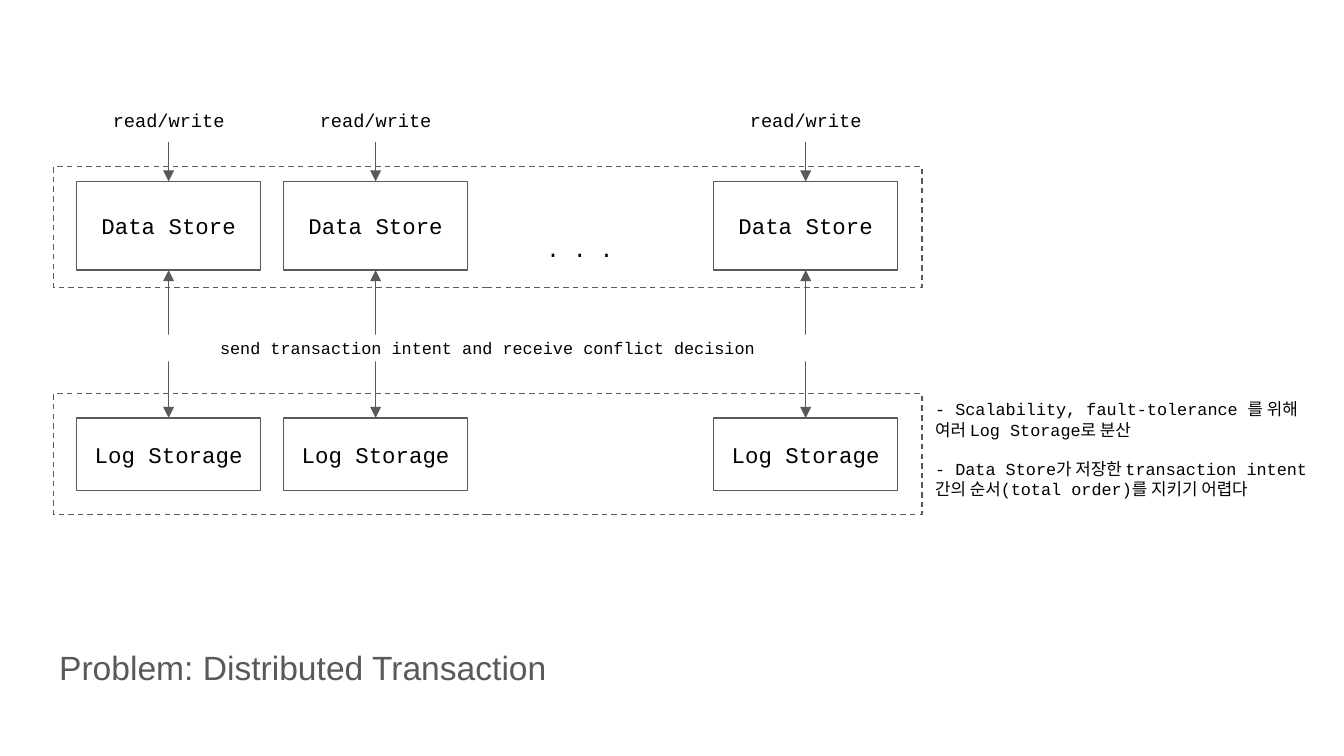
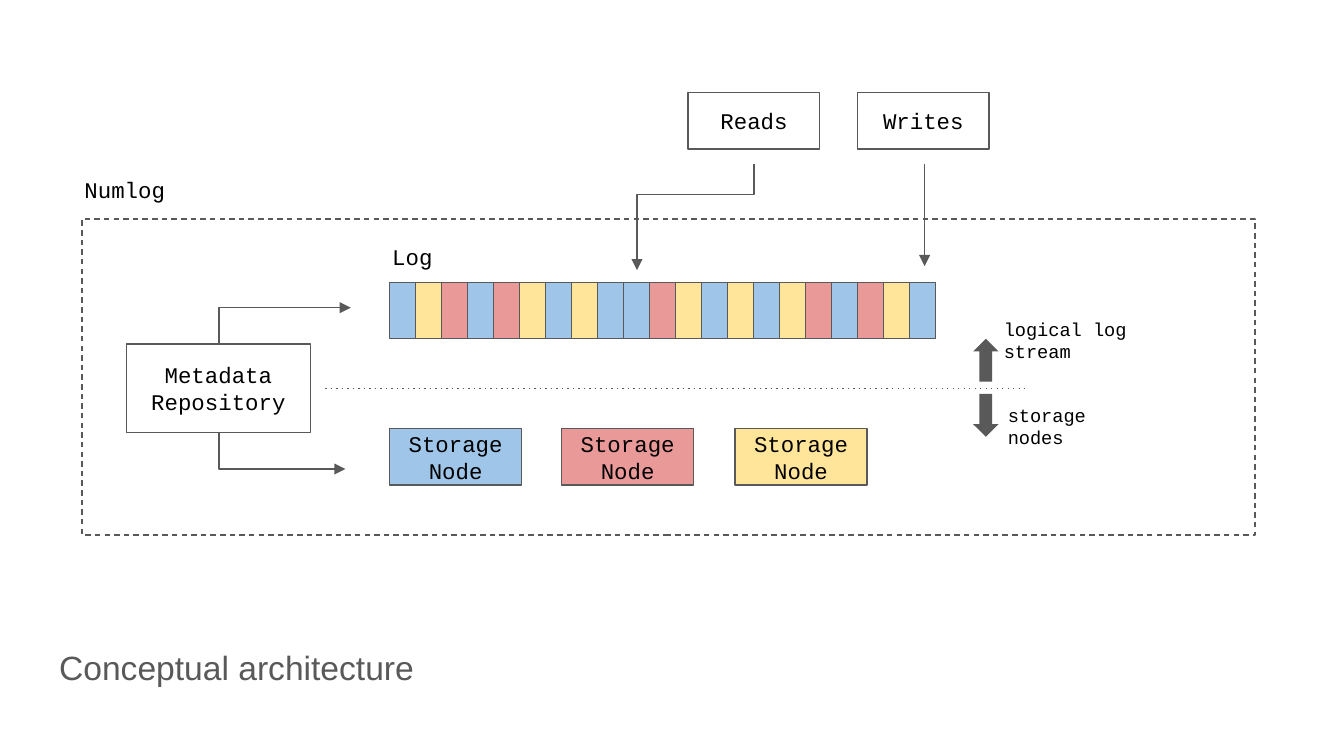
from pptx import Presentation
from pptx.util import Inches, Pt
from pptx.dml.color import RGBColor
from pptx.enum.shapes import MSO_CONNECTOR, MSO_SHAPE
from pptx.enum.text import MSO_ANCHOR, MSO_AUTO_SIZE, PP_ALIGN
from pptx.oxml.ns import qn
from lxml.etree import SubElement

THEME = dict(
    ink="000000", gray="595959", white="FFFFFF",
    blue="9FC5E8", red="EA9999", yellow="FFE599",
    mono="Courier New", sans="Arial",
    title=18, box=12, label=10, note=9, line=0.75, inset=0.1,
)

TITLES = ["Problem: Distributed Transaction", "Conceptual architecture"]
TITLE_AT = (0.34, 4.63, 6.56, 0.66)

COLUMNS = [0.57, 2.11, 5.31]
COLUMN_W = 1.37
CALL = ("read/write", 0.72, 0.34)
STORE = ("Data Store", 1.35, 0.66)
STORAGE = ("Log Storage", 3.11, 0.54)
TIER_TOPS = [1.24, 2.93]
EXCHANGE = "send transaction intent and receive conflict decision"
NOTES = [
    "- Scalability, fault-tolerance 를 위해 여러 Log Storage로 분산",
    "- Data Store가 저장한 transaction intent 간의 순서(total order)를 지키기 어렵다",
]

LOG_CELLS = "BYRBRYBYBBRYBYBYRBRYB"
CELL_COLORS = {"B": "blue", "R": "red", "Y": "yellow"}
LOG_AT = (2.9, 2.1, 4.06, 0.42)
NODE_COLORS = ["blue", "red", "yellow"]
NODE_LEFTS = [2.9, 4.18, 5.47]
NODE_SIZE = (0.98, 0.42)
CLIENTS = [("Reads", 5.12), ("Writes", 6.38)]
CAPTIONS = [
    ("Numlog", (0.53, 1.2, 0.98, 0.42), "box"),
    ("Log", (2.82, 1.7, 0.98, 0.42), "box"),
    ("logical log stream", (7.37, 2.32, 1.61, 0.42), "label"),
    ("storage nodes", (7.4, 2.96, 1.25, 0.42), "label"),
]
BLOCK_ARROWS = [(2.52, 0), (2.93, 180)]
ELBOWS = [
    ((4.74, 2.01), (5.61, 1.22), "head", "bentConnector3", 71200),
    ((1.63, 2.56), (2.61, 2.29), "tail", "bentConnector2", None),
    ((1.63, 3.22), (2.57, 3.49), "tail", "bentConnector2", None),
]


def rgb(name):
    return RGBColor.from_string(THEME[name])


def put_text(sp, lines, size="box", align=PP_ALIGN.CENTER, font="mono", color="ink",
             anchor=MSO_ANCHOR.MIDDLE):
    tf = sp.text_frame
    tf.word_wrap = True
    tf.auto_size = MSO_AUTO_SIZE.NONE
    tf.vertical_anchor = anchor
    tf.margin_left = tf.margin_right = Inches(THEME["inset"])
    tf.margin_top = tf.margin_bottom = Inches(THEME["inset"])
    tf.text = "\n".join(lines)
    for p in tf.paragraphs:
        p.alignment = align
        for r in p.runs:
            r.font.size = Pt(THEME[size])
            r.font.name = THEME[font]
            r.font.color.rgb = rgb(color)
    return tf


def set_line(line, dash):
    line.color.rgb = rgb("gray")
    line.width = Pt(THEME["line"])
    ln = line._get_or_add_ln()
    if dash:
        SubElement(ln, qn("a:prstDash"), val=dash)
    return ln


def add_box(slide, at, text=None, fill=None, line=True, dash=None,
            kind=MSO_SHAPE.RECTANGLE, size="box"):
    sp = slide.shapes.add_shape(kind, *map(Inches, at))
    sp.shadow.inherit = False
    if fill:
        sp.fill.solid()
        sp.fill.fore_color.rgb = rgb(fill)
    else:
        sp.fill.background()
    if line:
        set_line(sp.line, dash)
    else:
        sp.line.fill.background()
    if text:
        put_text(sp, [text], size)
    return sp


def add_label(slide, at, lines, size="label", align=PP_ALIGN.LEFT, anchor=MSO_ANCHOR.MIDDLE):
    sp = slide.shapes.add_textbox(*map(Inches, at))
    return put_text(sp, lines, size, align, anchor=anchor)


def add_line(slide, start, end, ends=(), dash=None, kind=MSO_CONNECTOR.STRAIGHT):
    c = slide.shapes.add_connector(kind, *map(Inches, (*start, *end)))
    ln = set_line(c.line, dash)
    for end_name in ends:
        SubElement(ln, qn(f"a:{end_name}End"), type="triangle")
    SubElement(c._element.spPr, qn("a:effectLst"))
    return c


def add_elbow(slide, start, end, arrow, preset, adjust):
    cx, cy = (start[0] + end[0]) / 2, (start[1] + end[1]) / 2
    turned = [(cx - (y - cy), cy + (x - cx)) for x, y in (start, end)]
    c = add_line(slide, *turned, [arrow], kind=MSO_CONNECTOR.ELBOW)
    spPr = c._element.spPr
    spPr.find(qn("a:xfrm")).set("rot", str(270 * 60000))
    geom = spPr.find(qn("a:prstGeom"))
    geom.set("prst", preset)
    if adjust:
        guides = geom.find(qn("a:avLst"))
        if guides is None:
            guides = SubElement(geom, qn("a:avLst"))
        SubElement(guides, qn("a:gd"), name="adj1", fmla=f"val {adjust}")


def add_slide(prs, title):
    slide = prs.slides.add_slide(prs.slide_layouts[5])
    sp = slide.shapes.title
    sp.left, sp.top, sp.width, sp.height = map(Inches, TITLE_AT)
    put_text(sp, [title], "title", PP_ALIGN.LEFT, "sans", "gray")
    return slide


def draw_transaction(slide):
    for top in TIER_TOPS:
        add_box(slide, (0.4, top, 6.46, 0.9), dash="dash")
    call, call_top, call_h = CALL
    store_bottom = STORE[1] + STORE[2]
    for left in COLUMNS:
        mid = left + COLUMN_W / 2
        add_label(slide, (left, call_top, COLUMN_W, call_h), [call], align=PP_ALIGN.CENTER)
        for text, top, height in (STORE, STORAGE):
            add_box(slide, (left, top, COLUMN_W, height), text)
        add_line(slide, (mid, call_top + call_h), (mid, STORE[1]), ["tail"])
        add_line(slide, (mid, store_bottom), (mid, STORAGE[1]), ["head", "tail"])
    add_label(slide, (3.63, 1.68, COLUMN_W, 0.34), [". . ."], "box", PP_ALIGN.CENTER)
    add_box(slide, (1.05, 2.49, 5.15, 0.2), EXCHANGE, "white", line=False, size="note")
    tf = add_label(slide, (6.86, 2.8, 3.04, 1.37), NOTES, "note", anchor=MSO_ANCHOR.TOP)
    tf.margin_top = Inches(0.17)
    tf.margin_right = Inches(0.05)
    tf.paragraphs[1].space_before = Pt(10)


def draw_architecture(slide):
    add_box(slide, (0.61, 1.63, 8.73, 2.35), dash="dash")
    left, top, width, height = LOG_AT
    cell_w = width / len(LOG_CELLS)
    for i, key in enumerate(LOG_CELLS):
        add_box(slide, (left + i * cell_w, top, cell_w, height), fill=CELL_COLORS[key])
    for x, color in zip(NODE_LEFTS, NODE_COLORS):
        add_box(slide, (x, 3.19, *NODE_SIZE), "Storage Node", color)
    for text, x in CLIENTS:
        add_box(slide, (x, 0.69, *NODE_SIZE), text)
    add_box(slide, (0.94, 2.56, 1.37, 0.66), "Metadata Repository")
    add_line(slide, (6.88, 1.22), (6.88, 1.98), ["tail"])
    add_line(slide, (2.42, 2.89), (7.65, 2.89), dash="dot")
    for elbow in ELBOWS:
        add_elbow(slide, *elbow)
    for y, angle in BLOCK_ARROWS:
        sp = add_box(slide, (7.24, y, 0.19, 0.32), fill="gray", line=False,
                     kind=MSO_SHAPE.UP_ARROW)
        sp.rotation = angle
    for text, at, size in CAPTIONS:
        add_label(slide, at, [text], size)


prs = Presentation()
prs.slide_width, prs.slide_height = Inches(10), Inches(10 * 9 / 16)
for title, draw in zip(TITLES, (draw_transaction, draw_architecture)):
    draw(add_slide(prs, title))
prs.save("out.pptx")
